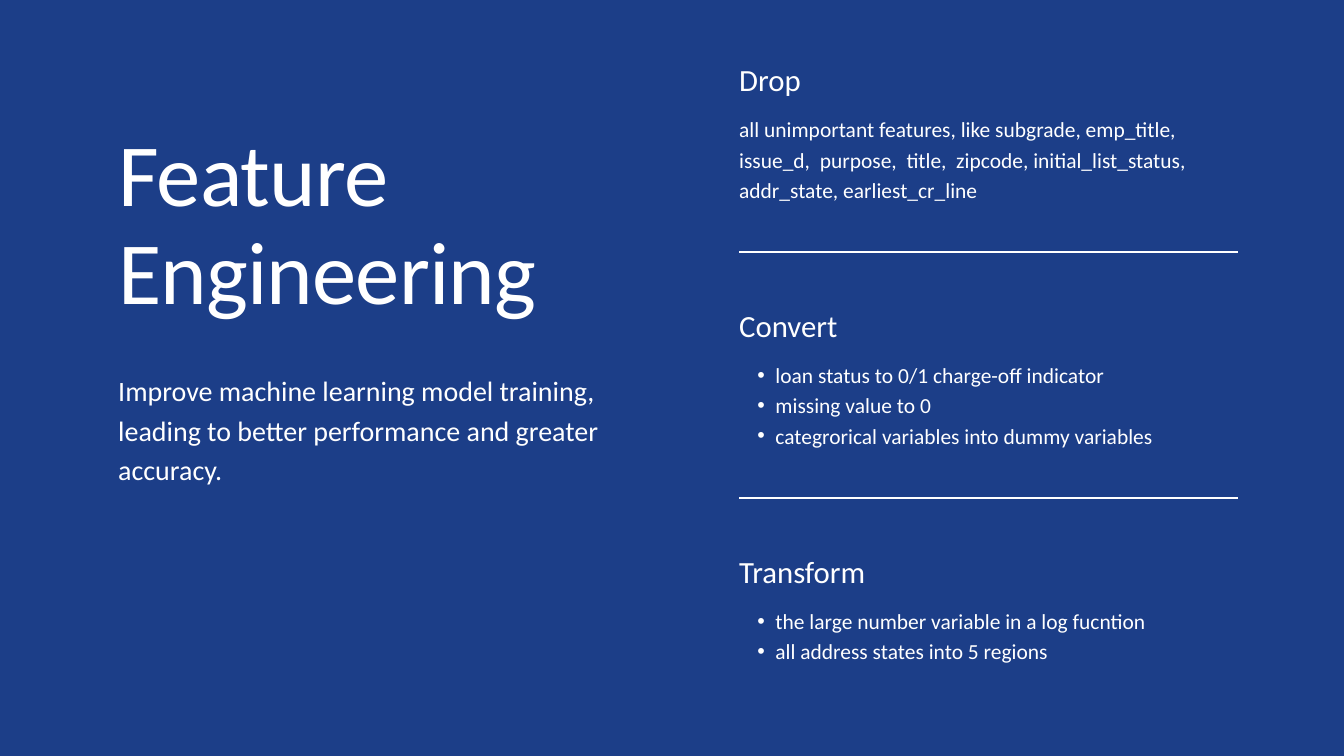
"""Build the Feature Engineering slide."""
from dataclasses import dataclass
from typing import Optional

from lxml.etree import SubElement
from pptx import Presentation
from pptx.dml.color import RGBColor
from pptx.enum.shapes import MSO_CONNECTOR
from pptx.enum.text import MSO_AUTO_SIZE
from pptx.oxml.ns import qn
from pptx.slide import Slide
from pptx.util import Inches, Pt

COLORS = {"background": "1C3E88", "foreground": "FFFFFF"}
FONT = "Calibri"
INTRO_LEFT, INTRO_WIDTH = 1.76, 7.57
STEP_LEFT, STEP_WIDTH = 11, 7.43
STEP_TOP, STEP_PITCH = 0.91, 3.66
DETAIL_OFFSET, DIVIDER_OFFSET = 0.76, 2.84


@dataclass(frozen=True)
class Step:
    heading: str
    details: tuple[str, ...]
    height: float
    bulleted: bool = True


STEPS = (
    Step(
        "Drop",
        ("all unimportant features, like subgrade, emp_title,  issue_d,  purpose,  title,  "
         "zipcode, initial_list_status, addr_state, earliest_cr_line",),
        1.29,
        bulleted=False,
    ),
    Step(
        "Convert",
        ("loan status to 0/1 charge-off indicator",
         "missing value to 0",
         "categrorical variables into dummy variables"),
        1.29,
    ),
    Step(
        "Transform",
        ("the large number variable in a log fucntion",
         "all address states into 5 regions"),
        0.86,
    ),
)


def add_text(slide: Slide, *paragraphs: str, left: float, top: float, width: float,
             height: float, size: float, leading: float, bulleted: bool = False,
             tracking: Optional[float] = None) -> None:
    """Add a text box with one format for all its paragraphs."""
    box = slide.shapes.add_textbox(Inches(left), Inches(top), Inches(width), Inches(height))
    frame = box.text_frame
    frame.word_wrap = True
    frame.auto_size = MSO_AUTO_SIZE.SHAPE_TO_FIT_TEXT
    frame.margin_left = frame.margin_top = frame.margin_right = frame.margin_bottom = 0
    for index, text in enumerate(paragraphs):
        paragraph = frame.add_paragraph() if index else frame.paragraphs[0]
        paragraph.line_spacing = Pt(leading)
        if bulleted:
            paragraph.level = 1
            properties = paragraph._p.get_or_add_pPr()
            properties.set("marL", str(Inches(0.54)))
            properties.set("indent", str(Inches(-0.27)))
            SubElement(properties, qn("a:buFont"), typeface="Arial")
            SubElement(properties, qn("a:buChar"), char="•")
        run = paragraph.add_run()
        run.text = text
        run.font.name = FONT
        run.font.size = Pt(size)
        run.font.color.rgb = RGBColor.from_string(COLORS["foreground"])
        if tracking is not None:
            run._r.get_or_add_rPr().set("spc", str(round(tracking * 100)))


def add_divider(slide: Slide, top: float) -> None:
    """Add a rule across the steps column."""
    divider = slide.shapes.add_connector(
        MSO_CONNECTOR.STRAIGHT, Inches(STEP_LEFT), Inches(top),
        Inches(STEP_LEFT + STEP_WIDTH), Inches(top))
    divider.line.color.rgb = RGBColor.from_string(COLORS["foreground"])
    divider.line.width = Pt(3)
    SubElement(divider._element.spPr, qn("a:effectLst"))


def add_step(slide: Slide, step: Step, top: float) -> None:
    """Add a heading with its details below."""
    add_text(slide, step.heading, left=STEP_LEFT, top=top, width=STEP_WIDTH,
             height=0.53, size=33, leading=39.6)
    add_text(slide, *step.details, left=STEP_LEFT, top=top + DETAIL_OFFSET,
             width=STEP_WIDTH, height=step.height, size=23, leading=32.2,
             bulleted=step.bulleted)


def main() -> None:
    """Create and save the presentation."""
    presentation = Presentation()
    presentation.slide_width = Inches(20)
    presentation.slide_height = Inches(11.25)
    slide = presentation.slides.add_slide(presentation.slide_layouts[6])
    slide.background.fill.solid()
    slide.background.fill.fore_color.rgb = RGBColor.from_string(COLORS["background"])

    add_text(slide, "Feature Engineering", left=INTRO_LEFT, top=1.89, width=INTRO_WIDTH,
             height=2.96, size=95, leading=104.5, tracking=-0.9)
    add_text(slide, "Improve machine learning model training, leading to better "
             "performance and greater accuracy.", left=INTRO_LEFT, top=5.48,
             width=INTRO_WIDTH, height=1.71, size=30, leading=42)

    for index, step in enumerate(STEPS):
        top = STEP_TOP + index * STEP_PITCH
        add_step(slide, step, top)
        if index < len(STEPS) - 1:
            add_divider(slide, top + DIVIDER_OFFSET)

    presentation.save("out.pptx")


if __name__ == "__main__":
    main()
